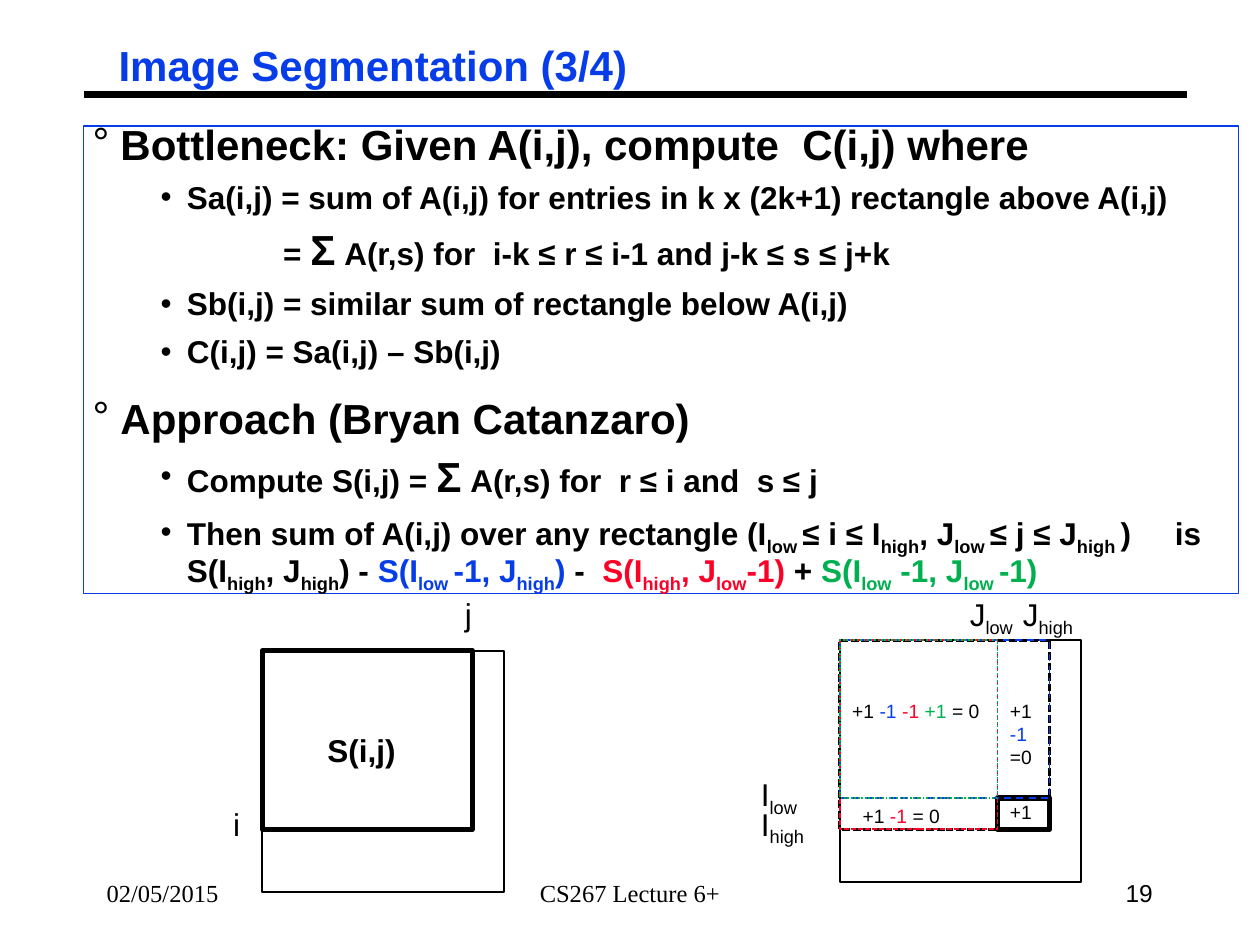
from dataclasses import dataclass

from lxml import etree
from pptx import Presentation
from pptx import util as u
from pptx.dml.color import RGBColor
from pptx.enum import dml, shapes, text
from pptx.oxml import ns


@dataclass(frozen=True)
class Theme:
    black: str = "000000"
    blue: str = "063DE8"
    red: str = "FC0128"
    green: str = "00B050"
    sans: str = "Arial"
    serif: str = "Times New Roman"
    heading: int = 24
    body: int = 18
    footer: int = 14
    small: int = 11


THEME = Theme()
TIGHT = (0.18, 0.08)
NORMAL = (0.25, 0.13)
DASH = dml.MSO_LINE
ALIGN = text.PP_ALIGN

# Each paragraph: kind, then (text, format) pieces; braces hold subscripts
BODY = [
    ("topic", [("Bottleneck: Given A(i,j), compute  C(i,j) where", {})]),
    ("point", [("Sa(i,j) = sum of A(i,j) for entries in k x (2k+1) rectangle above A(i,j)", {})]),
    ("formula", [("= ", {}), ("Σ", {"size": THEME.heading}),
                 (" A(r,s) for  i-k ≤ r ≤ i-1 and j-k ≤ s ≤ j+k", {})]),
    ("point", [("Sb(i,j) = similar sum of rectangle below A(i,j)", {})]),
    ("point", [("C(i,j) = Sa(i,j) – Sb(i,j)", {})]),
    ("topic", [("Approach (Bryan Catanzaro)", {})]),
    ("point", [("Compute S(i,j) = ", {}), ("Σ", {"size": THEME.heading}),
               (" A(r,s) for  r ≤ i and  s ≤ j", {})]),
    ("point", [("Then sum of A(i,j) over any rectangle "
                "(I{low }≤ i ≤ I{high}, J{low }≤ j ≤ J{high })", {}),
               (" ", {"spacing": 20}),
               ("is S(I{high}, J{high}) - ", {}),
               ("S(I{low }-1, J{high}) ", {"color": THEME.blue}),
               ("-  ", {}),
               ("S(I{high}, J{low}-1) ", {"color": THEME.red}),
               ("+ ", {}),
               ("S(I{low} -1, J{low }-1)", {"color": THEME.green})]),
]

# Kind: size, line spacing, space before, left margin, first indent, bullet
STYLES = {
    "topic": (THEME.heading, 0.75, 19.5, 0.56, -0.56, "°"),
    "point": (THEME.body, 0.85, 9, 1.9, -0.53, "•"),
    "formula": (THEME.body, 0.85, 9, 3.84, 0, None),
}


def write(paragraph, content, size=THEME.body, color=THEME.black,
          font=THEME.sans, bold=False, spacing=None):
    """Add text to a paragraph; pieces in braces become subscripts."""
    for index, piece in enumerate(content.replace("}", "{").split("{")):
        if not piece:
            continue
        run = paragraph.add_run()
        run.text = piece
        run.font.size = u.Pt(size)
        run.font.name = font
        run.font.bold = bold
        run.font.color.rgb = RGBColor.from_string(color)
        properties = run.font._element
        if index % 2:
            properties.set("baseline", "-25000")
        if spacing:
            properties.set("spc", str(spacing * 100))


def prepare_frame(shape, insets, anchor=text.MSO_ANCHOR.TOP):
    frame = shape.text_frame
    frame.word_wrap = True
    frame.vertical_anchor = anchor
    frame.margin_left = frame.margin_right = u.Cm(insets[0])
    frame.margin_top = frame.margin_bottom = u.Cm(insets[1])
    return frame


def add_label(slide, box, pieces, align=ALIGN.LEFT, insets=NORMAL,
              anchor=text.MSO_ANCHOR.TOP, line_spacing=None, **style):
    """Add a one-paragraph text box; None among the pieces breaks the line."""
    shape = slide.shapes.add_textbox(*map(u.Cm, box))
    paragraph = prepare_frame(shape, insets, anchor).paragraphs[0]
    paragraph.alignment = align
    if line_spacing:
        paragraph.line_spacing = line_spacing
    for piece in pieces:
        if piece is None:
            paragraph.add_line_break()
        else:
            content, color = piece
            write(paragraph, content, color=color, **style)


def add_outline(slide, box, width, color=THEME.black, dash=None):
    shape = slide.shapes.add_shape(shapes.MSO_SHAPE.RECTANGLE, *map(u.Cm, box))
    shape.shadow.inherit = False
    shape.fill.background()
    shape.line.color.rgb = RGBColor.from_string(color)
    shape.line.width = u.Pt(width)
    if dash:
        shape.line.dash_style = dash
    return shape


def set_indent(paragraph, left, first, bullet):
    properties = paragraph._p.get_or_add_pPr()
    properties.set("marL", str(u.Cm(left)))
    properties.set("indent", str(u.Cm(first)))
    if not bullet:
        etree.SubElement(properties, ns.qn("a:buNone"))
        return
    color = etree.SubElement(properties, ns.qn("a:buClr"))
    etree.SubElement(color, ns.qn("a:srgbClr"), val=THEME.black)
    etree.SubElement(properties, ns.qn("a:buFont"), typeface=THEME.sans)
    etree.SubElement(properties, ns.qn("a:buChar"), char=bullet)


def add_body(slide):
    shape = add_outline(slide, (1.69, 2.54, 23.28, 9.42), 0.75, THEME.blue)
    frame = prepare_frame(shape, TIGHT)
    for index, (kind, pieces) in enumerate(BODY):
        size, line_spacing, before, left, first, bullet = STYLES[kind]
        paragraph = frame.add_paragraph() if index else frame.paragraphs[0]
        paragraph.alignment = ALIGN.LEFT
        paragraph.level = 0 if kind == "topic" else 1
        set_indent(paragraph, left, first, bullet)
        paragraph.line_spacing = line_spacing
        paragraph.space_before = u.Pt(before if index else 0)
        for content, style in pieces:
            write(paragraph, content, **{"size": size, "bold": True, **style})


def add_rule(slide):
    line = slide.shapes.add_connector(
        shapes.MSO_CONNECTOR.STRAIGHT, *map(u.Cm, (1.69, 1.9, 23.92, 1.9)))
    line.line.color.rgb = RGBColor.from_string(THEME.black)
    line.line.width = u.Pt(3.75)
    etree.SubElement(line._element.spPr, ns.qn("a:effectLst"))


def add_difference_diagram(slide):
    left, top, side = 16.93, 12.91, 4.87
    column_low, column_high = 3.18, 4.23
    row_low, row_high = 3.18, 3.81
    cell_left = left + column_low
    cell_width = column_high - column_low

    # Nested rectangles that share the top left corner
    add_outline(slide, (left, top, side, side), 1)
    add_outline(slide, (cell_left, top + row_low, cell_width, row_high - row_low), 3)
    for width, height, weight, color, dash in (
            (column_high, row_high, 1.5, THEME.black, DASH.SQUARE_DOT),
            (column_high, row_low, 1, THEME.blue, DASH.DASH),
            (column_low, row_high, 1, THEME.red, DASH.SQUARE_DOT),
            (column_low, row_low, 1, THEME.green, DASH.ROUND_DOT)):
        add_outline(slide, (left, top, width, height), weight, color, dash)

    # Contributions of each region
    plus, end = ("+1 ", THEME.black), ("= 0", THEME.black)
    minus_red = ("-1 ", THEME.red)
    for box, pieces in (
            ((cell_left, 16, cell_width, 0.74), [("+1", THEME.black)]),
            ((left, 13.97, column_low, 0.74),
             [plus, ("-1 ", THEME.blue), minus_red, ("+1 ", THEME.green), end]),
            ((17.14, 16.09, 2.54, 0.74), [plus, minus_red, end]),
            ((cell_left, 13.97, cell_width, 1.65),
             [("+1", THEME.black), None, ("-1", THEME.blue), None, ("=0", THEME.black)])):
        add_label(slide, box, pieces, size=THEME.small)

    # Row and column bounds
    for content, x, y, width in (("I{high}", 15.09, 16.09, 1.6),
                                 ("J{high}", 20.37, 11.86, 1.7),
                                 ("I{low}", 15.09, 15.49, 1.5),
                                 ("J{low}", 19.3, 11.86, 1.6)):
        add_label(slide, (x, y, width, 1.12), [(content, THEME.black)])


def add_sum_diagram(slide):
    left, top, side = 5.29, 13.12, 4.87
    add_outline(slide, (left, top, side, side), 1)
    add_outline(slide, (left, top, 4.23, 3.6), 3)
    for content, x, y, width, bold in (("i", 4.45, 16.09, 0.8, False),
                                       ("j", 9.12, 11.86, 0.8, False),
                                       ("S(i,j)", 6.35, 14.6, 2.1, True)):
        add_label(slide, (x, y, width, 1.02), [(content, THEME.black)], bold=bold)


def add_footer(slide):
    for content, x, width, align, font in (
            ("02/05/2015", 1.9, 5.29, ALIGN.LEFT, THEME.serif),
            ("CS267 Lecture 6+", 8.68, 8.04, ALIGN.CENTER, THEME.serif),
            ("19", 18.2, 5.29, ALIGN.RIGHT, THEME.sans)):
        add_label(slide, (x, 17.36, width, 1.27), [(content, THEME.black)], align=align,
                  anchor=text.MSO_ANCHOR.MIDDLE, size=THEME.footer, font=font)


def main():
    presentation = Presentation()
    presentation.slide_width, presentation.slide_height = u.Cm(25.4), u.Cm(19.05)
    slide = presentation.slides.add_slide(presentation.slide_layouts[6])
    add_rule(slide)
    add_label(slide, (2.21, 0.86, 11, 1.04), [("Image Segmentation (3/4)", THEME.blue)],
              insets=TIGHT, line_spacing=0.87, size=THEME.heading, bold=True)
    add_body(slide)
    add_footer(slide)
    add_difference_diagram(slide)
    add_sum_diagram(slide)
    presentation.save("out.pptx")


if __name__ == "__main__":
    main()
